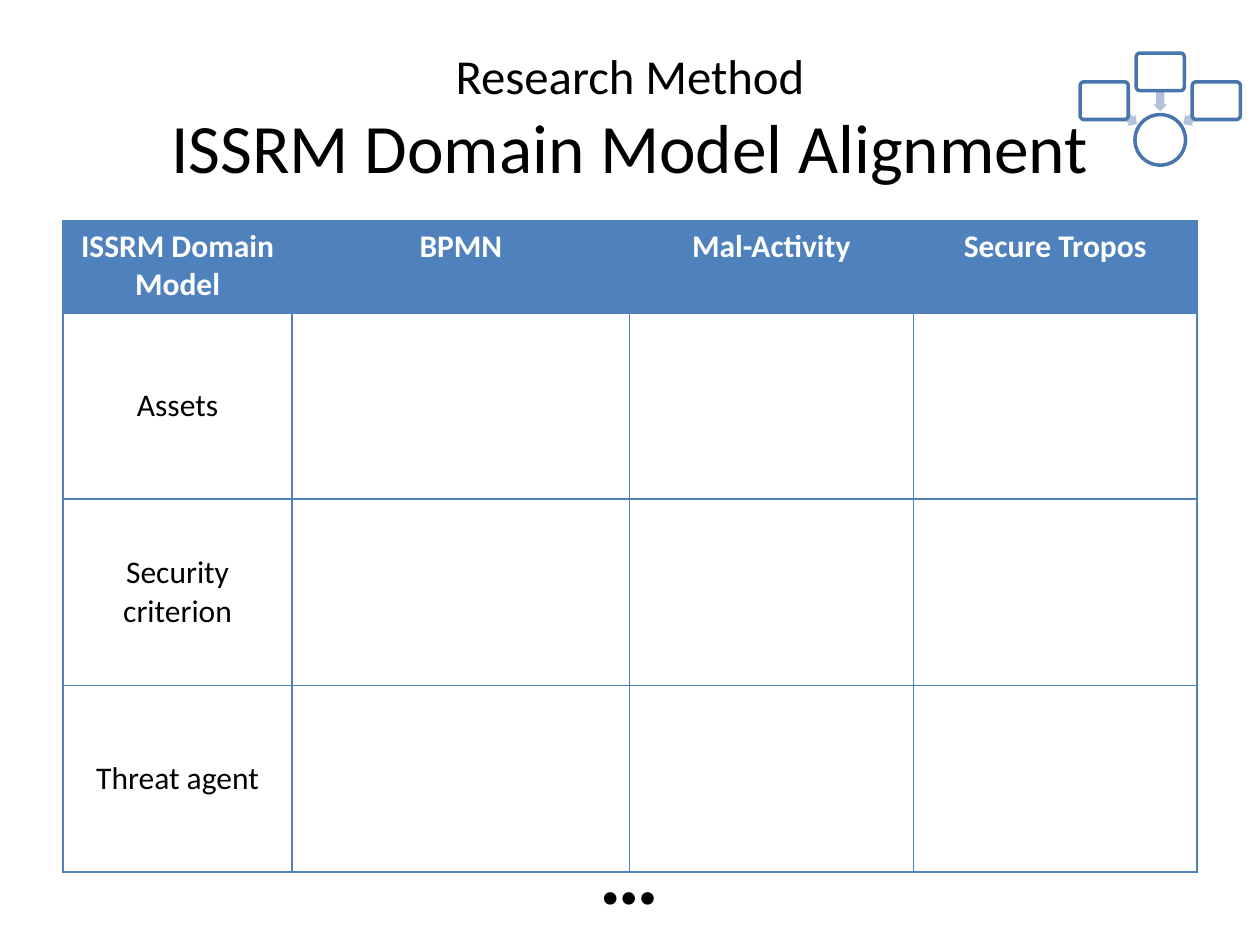
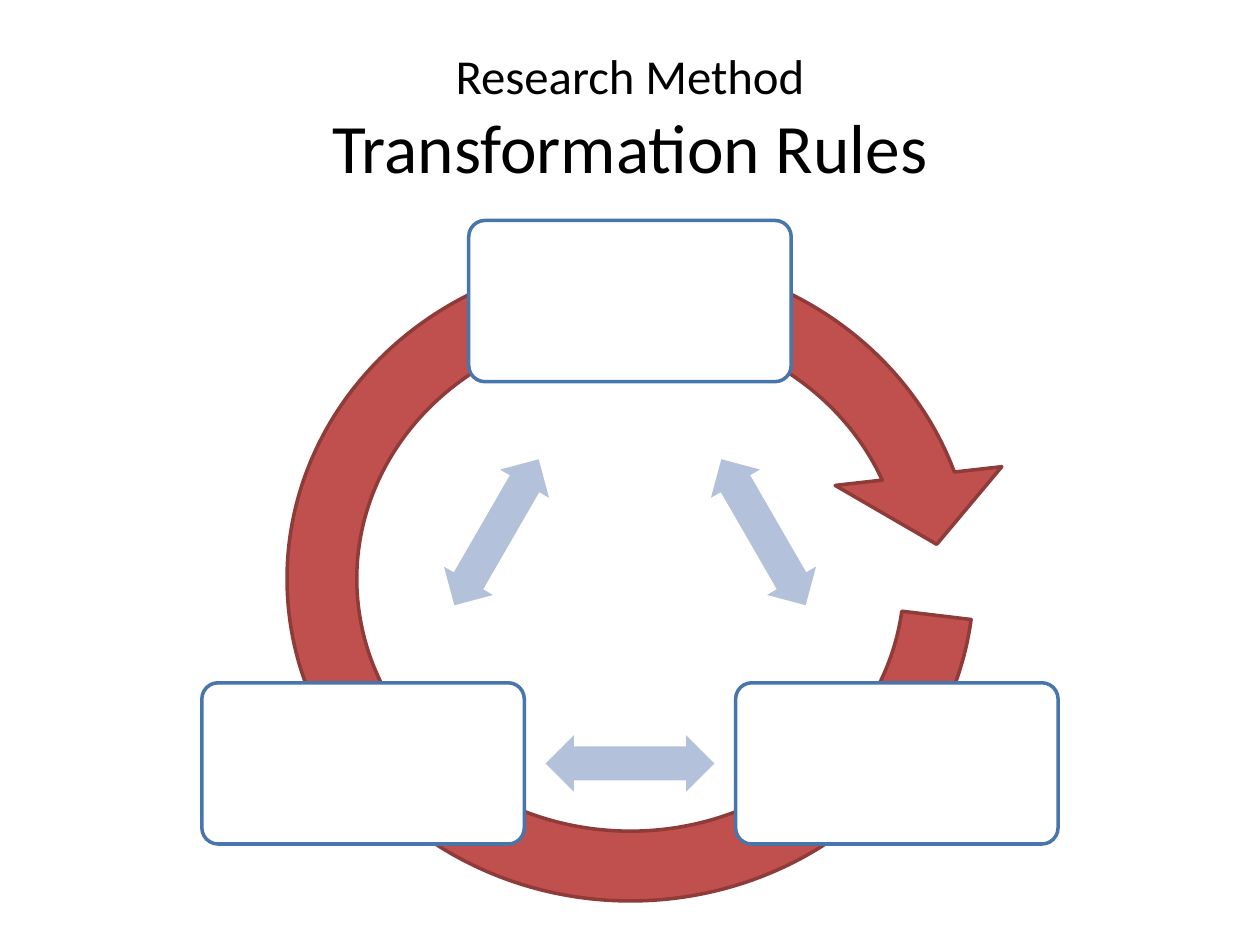
"""Build two research method slides: a domain model table and a transformation cycle."""
import pptx
import pptx.dml.color
import pptx.enum.shapes
import pptx.enum.text
import pptx.oxml
import pptx.oxml.ns
import pptx.util

Cm = pptx.util.Cm
Pt = pptx.util.Pt
SHAPE = pptx.enum.shapes.MSO_SHAPE
ALIGN = pptx.enum.text.PP_ALIGN
ANCHOR = pptx.enum.text.MSO_ANCHOR
FIT = pptx.enum.text.MSO_AUTO_SIZE

FONT = "Calibri"
BLACK = "000000"
WHITE = "FFFFFF"
BLUE = "4F81BD"
OUTLINE = "4875AC"
PALE_BLUE = "B3C1DB"
RED = "C0504D"
DARK_RED = "8E3B39"

TITLE_ONLY = 5
KICKER = "Research Method"
KICKER_SIZE = 27.9
TITLE_SIZE = 39.6

HEADERS = ["ISSRM Domain Model", "BPMN", "Mal-Activity", "Secure Tropos"]
CONCEPTS = ["Assets", "Security criterion", "Threat agent"]
COLUMN_WIDTHS = [4.62, 6.8, 5.72, 5.72]
HEADER_HEIGHT = 1.85
ROW_HEIGHT = 3.76


def color(value):
    return pptx.dml.color.RGBColor.from_string(value)


def style_span(span, size, ink=BLACK, bold=False):
    span.font.name = FONT
    span.font.size = Pt(size)
    span.font.bold = bold
    span.font.color.rgb = color(ink)


def add_slide(deck, heading):
    page = deck.slides.add_slide(deck.slide_layouts[TITLE_ONLY])
    title = page.shapes.title
    title.left, title.top = Cm(1.27), Cm(0.76)
    title.width, title.height = Cm(22.86), Cm(3.18)
    frame = title.text_frame
    frame.text = f"{KICKER}\v{heading}"
    frame.auto_size = FIT.NONE
    frame.vertical_anchor = ANCHOR.MIDDLE
    para = frame.paragraphs[0]
    para.alignment = ALIGN.CENTER
    for span, size in zip(para.runs, (KICKER_SIZE, TITLE_SIZE)):
        style_span(span, size)
    line_break = para._p.find(pptx.oxml.ns.qn("a:br"))
    line_break.append(pptx.oxml.parse_xml(
        f'<a:rPr {pptx.oxml.ns.nsdecls("a")} sz="{round(KICKER_SIZE * 100)}"/>'))
    return page


def add_figure(page, kind, center, size, fill, line=None, turn=0, adjust=()):
    (x, y), (width, height) = center, size
    figure = page.shapes.add_shape(
        kind, Cm(x - width / 2), Cm(y - height / 2), Cm(width), Cm(height))
    figure.shadow.inherit = False
    figure.rotation = turn
    figure.fill.solid()
    figure.fill.fore_color.rgb = color(fill)
    if line:
        figure.line.color.rgb = color(line)
        figure.line.width = Pt(2)
    else:
        figure.line.fill.background()
    for index, value in enumerate(adjust):
        figure.adjustments[index] = value
    return figure


def add_box(page, center, size):
    return add_figure(page, SHAPE.ROUNDED_RECTANGLE, center, size, WHITE, OUTLINE, adjust=[0.1])


def add_arrow(page, kind, center, size, turn):
    return add_figure(page, kind, center, size, PALE_BLUE, turn=turn, adjust=[0.6, 0.5])


def set_borders(cell, bottom_width):
    properties = cell._tc.get_or_add_tcPr()
    widths = {"lnL": 1, "lnR": 1, "lnT": 1, "lnB": bottom_width}
    for index, (side, width) in enumerate(widths.items()):
        properties.insert(index, pptx.oxml.parse_xml(
            f'<a:{side} {pptx.oxml.ns.nsdecls("a")} w="{Pt(width)}">'
            f'<a:solidFill><a:srgbClr val="{BLUE}"/></a:solidFill></a:{side}>'))


def fill_cell(cell, text, is_header):
    cell.text = text
    if is_header:
        cell.fill.solid()
        cell.fill.fore_color.rgb = color(BLUE)
    else:
        cell.fill.background()
        cell.vertical_anchor = ANCHOR.MIDDLE
    para = cell.text_frame.paragraphs[0]
    para.alignment = ALIGN.CENTER
    for span in para.runs:
        style_span(span, 18, WHITE if is_header else BLACK, is_header)
    set_borders(cell, 2 if is_header else 1)


def add_alignment_table(page):
    rows = [HEADERS] + [[concept, "", "", ""] for concept in CONCEPTS]
    heights = [HEADER_HEIGHT] + [ROW_HEIGHT] * len(CONCEPTS)
    table = page.shapes.add_table(
        len(rows), len(HEADERS), Cm(1.27), Cm(4.45),
        Cm(sum(COLUMN_WIDTHS)), Cm(sum(heights))).table
    table.horz_banding = False
    for column, width in zip(table.columns, COLUMN_WIDTHS):
        column.width = Cm(width)
    for row_index, (texts, height) in enumerate(zip(rows, heights)):
        table.rows[row_index].height = Cm(height)
        for column_index, text in enumerate(texts):
            fill_cell(table.cell(row_index, column_index), text, row_index == 0)


def add_hub_icon(page):
    hub_x = 23.39
    add_figure(page, SHAPE.OVAL, (hub_x, 2.82), (1.02, 1.02), WHITE, OUTLINE)
    spokes = [(-1.13, 2.03, -0.8, 2.27, 215), (0, 1.45, 0, 1.84, 270), (1.13, 2.03, 0.8, 2.27, 325)]
    for box_shift, box_y, arrow_shift, arrow_y, turn in spokes:
        add_arrow(page, SHAPE.LEFT_ARROW, (hub_x + arrow_shift, arrow_y), (0.81, 0.28), turn)
        add_box(page, (hub_x + box_shift, box_y), (0.97, 0.76))


def add_ellipsis(page):
    box = page.shapes.add_textbox(Cm(11.84), Cm(16.41), Cm(1.73), Cm(2.31))
    frame = box.text_frame
    frame.text = "…"
    frame.word_wrap = False
    frame.auto_size = FIT.SHAPE_TO_FIT_TEXT
    style_span(frame.paragraphs[0].runs[0], 48, bold=True)


def add_cycle(page):
    add_figure(page, SHAPE.CIRCULAR_ARROW, (12.71, 11.67), (15.82, 14.96), RED, DARK_RED,
               adjust=[0.094, 7.927, 204.216, 4.081, 0.113])
    corners = [(12.7, 6.07), (18.08, 15.39), (7.32, 15.39)]
    for index, (x, y) in enumerate(corners):
        next_x, next_y = corners[(index + 1) % len(corners)]
        middle = ((x + next_x) / 2, (y + next_y) / 2)
        add_box(page, (x, y), (6.5, 3.25))
        add_arrow(page, SHAPE.LEFT_RIGHT_ARROW, middle, (3.4, 1.14), 60 + 120 * index)


def main():
    deck = pptx.Presentation()
    deck.slide_width, deck.slide_height = Cm(25.4), Cm(19.05)

    page = add_slide(deck, "ISSRM Domain Model Alignment")
    add_alignment_table(page)
    add_hub_icon(page)
    add_ellipsis(page)

    page = add_slide(deck, "Transformation Rules")
    add_cycle(page)

    deck.save("out.pptx")


if __name__ == "__main__":
    main()
